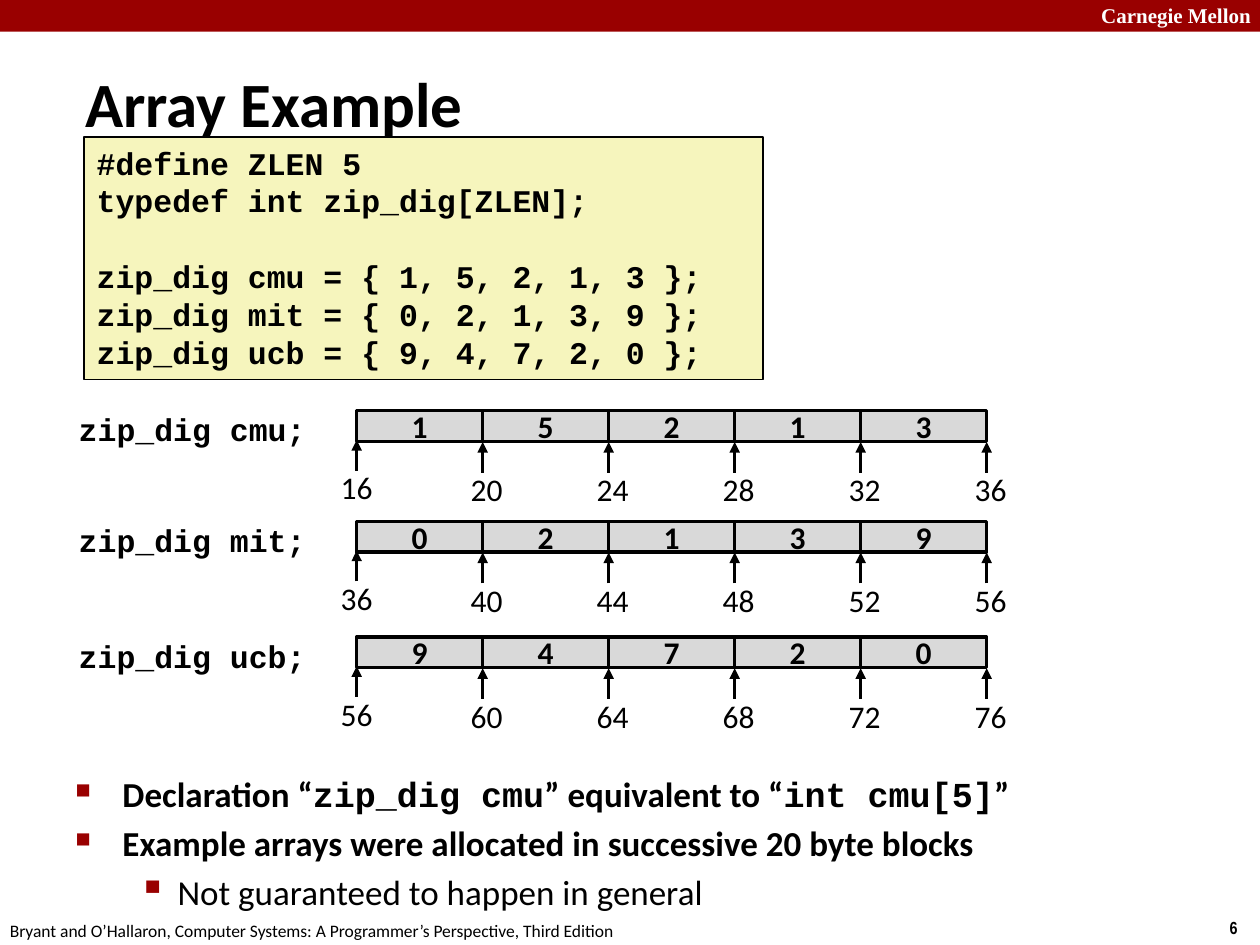
from lxml.etree import SubElement
from pptx import Presentation
from pptx.dml.color import RGBColor
from pptx.enum.shapes import MSO_CONNECTOR, MSO_SHAPE
from pptx.enum.text import MSO_ANCHOR, PP_ALIGN
from pptx.oxml.ns import qn
from pptx.util import Cm, Pt

BLACK = RGBColor(0x00, 0x00, 0x00)
WHITE = RGBColor(0xFF, 0xFF, 0xFF)
CRIMSON = RGBColor(0x99, 0x00, 0x00)
CREAM = RGBColor(0xF6, 0xF5, 0xBD)
GREY = RGBColor(0xD9, 0xD9, 0xD9)

BRAND = {"name": "Times New Roman", "size": Pt(12), "bold": True}
PAGE_NUMBER = {"name": "Arial Narrow", "size": Pt(10), "bold": True}
CREDIT = {"name": "Calibri", "size": Pt(10), "bold": False}
TITLE = {"name": "Calibri", "size": Pt(36), "bold": True}
CODE = {"name": "Courier New", "size": Pt(18), "bold": True}
DIGIT = {"name": "Calibri", "size": Pt(18), "bold": True}
ADDRESS = {"name": "Calibri", "size": Pt(18), "bold": False}
POINT = {"name": "Calibri", "size": Pt(20), "bold": True}
POINT_CODE = {"name": "Courier New", "size": Pt(20), "bold": True}
SUBPOINT = {"name": "Calibri", "size": Pt(20), "bold": False}

BULLETS = {
    0: {"char": "■", "percent": 60, "margin": Cm(0.95), "hang": Cm(0.95)},
    1: {"char": "▪", "percent": 110, "margin": Cm(2.06), "hang": Cm(0.79)},
}


def apply(target, values):
    """Set every attribute named in values on target."""
    for key, value in values.items():
        setattr(target, key, value)


def write_runs(paragraph, runs, color=BLACK, **layout):
    """Fill a paragraph with (text, style) runs."""
    apply(paragraph, layout)
    for text, style in runs:
        run = paragraph.add_run()
        run.text = text
        apply(run.font, style)
        run.font.color.rgb = color


def add_label(shapes, box, text, style, color=BLACK, wrap=True,
              anchor=MSO_ANCHOR.TOP, align=PP_ALIGN.LEFT):
    """Place one line of text in a box given in centimetres."""
    frame = shapes.add_textbox(*map(Cm, box)).text_frame
    apply(frame, {"word_wrap": wrap, "vertical_anchor": anchor})
    write_runs(frame.paragraphs[0], [(text, style)], color, alignment=align)


def add_panel(shapes, box, fill, line_width=None):
    """Place a filled rectangle, outlined in black if a width is given."""
    panel = shapes.add_shape(MSO_SHAPE.RECTANGLE, *map(Cm, box))
    panel.shadow.inherit = False
    panel.fill.solid()
    panel.fill.fore_color.rgb = fill
    if line_width is None:
        panel.line.fill.background()
    else:
        panel.line.color.rgb = BLACK
        panel.line.width = Pt(line_width)
    return panel


def add_arrow(shapes, x, start, end):
    """Draw a vertical arrow with its head at end."""
    arrow = shapes.add_connector(MSO_CONNECTOR.STRAIGHT, Cm(x), Cm(start), Cm(x), Cm(end))
    arrow.line.color.rgb = BLACK
    arrow.line.width = Pt(2)
    SubElement(arrow.line._get_or_add_ln(), qn("a:tailEnd"), type="triangle")
    SubElement(arrow._element.spPr, qn("a:effectLst"))


def add_bullet(paragraph, char, percent, margin, hang):
    """Give a paragraph a crimson bullet with a hanging indent."""
    properties = paragraph._p.get_or_add_pPr()
    properties.set("marL", str(margin))
    properties.set("indent", str(-hang))
    color = SubElement(properties, qn("a:buClr"))
    SubElement(color, qn("a:srgbClr"), val=str(CRIMSON))
    SubElement(properties, qn("a:buSzPct"), val=str(percent * 1000))
    SubElement(properties, qn("a:buChar"), char=char)


def draw_header(shapes, box):
    """Draw the band with the university name at its right."""
    left, top, width, height = box
    add_panel(shapes, box, CRIMSON)
    add_label(shapes, (left + width - 3.45, top - 0.08, 3.63, 0.76),
              "Carnegie Mellon", BRAND, WHITE)


def draw_footer(shapes, box):
    """Draw the book credit and the page number."""
    left, top, width, height = box
    add_label(shapes, (left + width - 0.86, top - 0.05, 0.86, height), "6", PAGE_NUMBER, wrap=False)
    add_label(shapes, (left - 0.05, top, 12.9, height),
              "Bryant and O’Hallaron, Computer Systems: A Programmer’s Perspective, Third Edition",
              CREDIT, wrap=False)


def draw_code(shapes, box, blocks):
    """Draw the listing, its blocks set one line apart."""
    frame = add_panel(shapes, box, CREAM, 1).text_frame
    apply(frame, {"word_wrap": True, "vertical_anchor": MSO_ANCHOR.TOP})
    paragraph = frame.paragraphs[0]
    for block_index, block in enumerate(blocks):
        for line_index, line in enumerate(block):
            if block_index or line_index:
                paragraph = frame.add_paragraph()
            gap = Pt(21.6) if block_index and not line_index else Pt(0)
            write_runs(paragraph, [(line, CODE)], alignment=PP_ALIGN.LEFT, space_before=gap)


def draw_array(shapes, box, name, digits, start):
    """Draw a named array with the address of every cell edge."""
    left, top, width, height = box
    add_label(shapes, (left - 6.98, top - 0.13, 6.2, 1.02), f"zip_dig {name};", CODE,
              align=PP_ALIGN.RIGHT)
    cells = shapes.add_group_shape().shapes
    cell_width = width / len(digits)
    for index, digit in enumerate(digits):
        cell = add_panel(cells, (left + index * cell_width, top, cell_width, height), GREY, 2)
        apply(cell.text_frame, {"word_wrap": False, "vertical_anchor": MSO_ANCHOR.MIDDLE})
        write_runs(cell.text_frame.paragraphs[0], [(str(digit), DIGIT)],
                   alignment=PP_ALIGN.CENTER)
    for index in range(len(digits) + 1):
        edge = left + index * cell_width
        drop, shift = (0.04, 0.08) if index else (0, 0)
        bottom = top + height - 0.03 + drop
        add_arrow(cells, edge, bottom + 0.62, bottom)
        add_label(cells, (edge + shift - 1.37, bottom + 0.45, 2.74, 1.02),
                  str(start + 4 * index), ADDRESS, align=PP_ALIGN.CENTER)


def draw_points(shapes, box, points):
    """Write the bulleted points as (level, runs)."""
    frame = shapes.add_textbox(*map(Cm, box)).text_frame
    frame.word_wrap = True
    for index, (level, runs) in enumerate(points):
        paragraph = frame.add_paragraph() if index else frame.paragraphs[0]
        add_bullet(paragraph, **BULLETS[level])
        write_runs(paragraph, runs, level=level, space_before=Pt(4 if index else 0))


def main():
    """Build the slide and save it."""
    deck = Presentation()
    apply(deck, {"slide_width": Cm(25.4), "slide_height": Cm(19.05)})
    shapes = deck.slides.add_slide(deck.slide_layouts[6]).shapes
    arrays = {"cmu": (1, 5, 2, 1, 3), "mit": (0, 2, 1, 3, 9), "ucb": (9, 4, 7, 2, 0)}

    draw_header(shapes, (0, 0, 25.4, 0.64))
    draw_footer(shapes, (0, 18.42, 25.4, 0.63))
    add_label(shapes, (1.47, 1.27, 15.21, 1.6), "Array Example", TITLE,
              anchor=MSO_ANCHOR.MIDDLE)
    definitions = [f"zip_dig {name} = {{ {', '.join(map(str, digits))} }};"
                   for name, digits in arrays.items()]
    draw_code(shapes, (1.7, 2.77, 13.69, 4.88),
              [["#define ZLEN 5", "typedef int zip_dig[ZLEN];"], definitions])
    tops = (8.28, 10.51, 12.84)
    for index, (name, digits) in enumerate(arrays.items()):
        draw_array(shapes, (7.19, tops[index], 12.7, 0.62), name, digits, 16 + 20 * index)
    draw_points(shapes, (1.27, 15.44, 23.29, 3.2), [
        (0, [("Declaration “", POINT), ("zip_dig cmu", POINT_CODE),
             ("” equivalent to “", POINT), ("int cmu[5]", POINT_CODE), ("”", POINT)]),
        (0, [("Example arrays were allocated in successive 20 byte blocks", POINT)]),
        (1, [("Not guaranteed to happen in general", SUBPOINT)]),
    ])
    deck.save("out.pptx")


if __name__ == "__main__":
    main()
